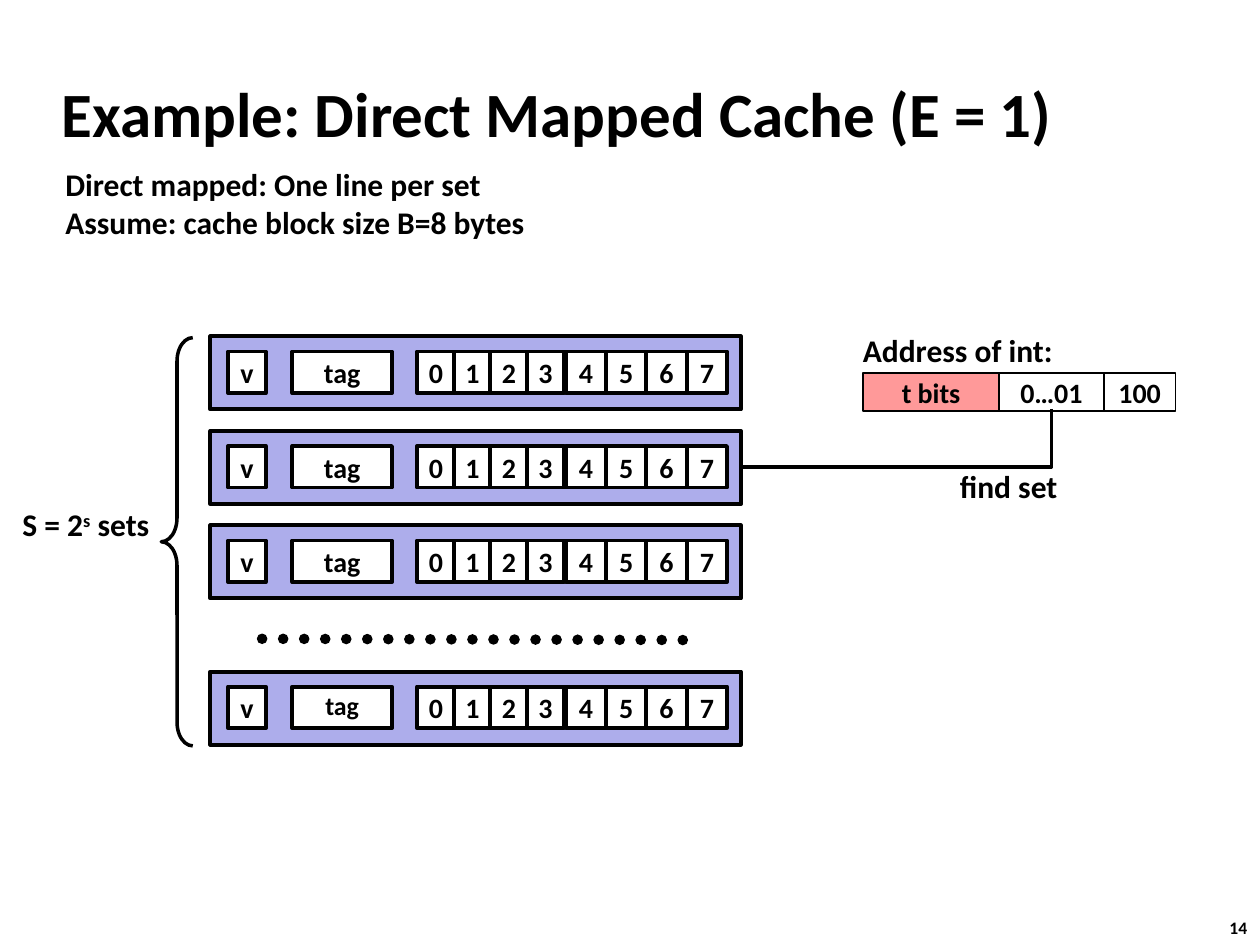
from dataclasses import dataclass

from pptx import Presentation
from pptx.dml.color import RGBColor
from pptx.enum.dml import MSO_LINE
from pptx.enum.shapes import MSO_CONNECTOR, MSO_SHAPE
from pptx.enum.text import MSO_ANCHOR, MSO_AUTO_SIZE, PP_ALIGN
from pptx.oxml.ns import qn
from pptx.util import Inches, Pt

RECTANGLE, LEFT_BRACE = MSO_SHAPE.RECTANGLE, MSO_SHAPE.LEFT_BRACE
STRAIGHT, ELBOW = MSO_CONNECTOR.STRAIGHT, MSO_CONNECTOR.ELBOW
ROUND_DOT = MSO_LINE.ROUND_DOT
MIDDLE, CENTER = MSO_ANCHOR.MIDDLE, PP_ALIGN.CENTER
FIT_SHAPE = MSO_AUTO_SIZE.SHAPE_TO_FIT_TEXT
BOTTOM_SIDE, RIGHT_SIDE = 2, 3


@dataclass(frozen=True)
class Theme:
    font: str = "Calibri"
    ink: RGBColor = RGBColor(0, 0, 0)
    paper: RGBColor = RGBColor(255, 255, 255)
    set_fill: RGBColor = RGBColor(0xAD, 0xAD, 0xEB)
    tag_fill: RGBColor = RGBColor(0xFF, 0x99, 0x99)
    title_size: float = 36
    label_size: float = 18
    cell_size: float = 16
    small_tag_size: float = 14.8
    page_size: float = 10
    address_line: float = 1
    set_line: float = 2.25
    link_line: float = 2
    dots_line: float = 6


THEME = Theme()


def style_text(frame, size):
    for paragraph in frame.paragraphs:
        for run in paragraph.runs:
            run.font.name = THEME.font
            run.font.size = Pt(size)
            run.font.bold = True
            run.font.color.rgb = THEME.ink


def style_line(line, width):
    line.color.rgb = THEME.ink
    line.width = Pt(width)


def add_label(slide, box, text, size=THEME.label_size):
    label = slide.shapes.add_textbox(*map(Inches, box))
    frame = label.text_frame
    frame.text = text
    frame.word_wrap = False
    frame.auto_size = FIT_SHAPE
    style_text(frame, size)
    return label


def add_title(slide, text):
    title = slide.shapes.add_textbox(Inches(0.39), Inches(0.48), Inches(8.3), Inches(0.83))
    frame = title.text_frame
    frame.text = text
    frame.word_wrap = True
    frame.vertical_anchor = MIDDLE
    style_text(frame, THEME.title_size)


def add_cell(slide, box, fill, text="", line=THEME.set_line, size=THEME.cell_size, wrap=False):
    cell = slide.shapes.add_shape(RECTANGLE, *map(Inches, box))
    cell.shadow.inherit = False
    cell.fill.solid()
    cell.fill.fore_color.rgb = fill
    style_line(cell.line, line)
    if text:
        frame = cell.text_frame
        frame.text = text
        frame.word_wrap = wrap
        frame.vertical_anchor = MIDDLE
        frame.paragraphs[0].alignment = CENTER
        style_text(frame, size)
    return cell


def add_cache_set(slide, top):
    cache_set = add_cell(slide, (1.67, top, 4.21, 0.58), THEME.set_fill)
    fields = [("v", 1.81, 0.3), ("tag", 2.32, 0.79)]
    fields += [(str(i), 3.31 + 0.29 * i, 0.3) for i in range(4)]
    fields += [(str(4 + i), 4.49 + 0.32 * i, 0.32) for i in range(4)]
    cells = {
        text: add_cell(slide, (left, top + 0.12, width, 0.33), THEME.paper, text)
        for text, left, width in fields
    }
    return cache_set, cells["tag"]


def add_address(slide):
    add_label(slide, (6.75, 2.58, 1.72, 0.4), "Address of int:")
    left = 6.85
    parts = []
    for text, width, fill in (
        ("t bits", 1.08, THEME.tag_fill),
        ("0…01", 0.83, THEME.paper),
        ("100", 0.57, THEME.paper),
    ):
        box = (left, 2.96, width, 0.3)
        parts.append(add_cell(slide, box, fill, text, THEME.address_line, wrap=True))
        left += width
    return parts[1]


def add_connector(slide, kind, start, end, width):
    connector = slide.shapes.add_connector(kind, *map(Inches, start + end))
    style_line(connector.line, width)
    properties = connector.element.spPr
    properties.append(properties.makeelement(qn("a:effectLst"), {}))
    return connector


def add_set_link(slide, set_index, cache_set):
    link = add_connector(slide, ELBOW, (8.35, 3.25), (5.88, 3.71), THEME.link_line)
    link.begin_connect(set_index, BOTTOM_SIDE)
    link.end_connect(cache_set, RIGHT_SIDE)
    properties = link.element.spPr
    properties.find(qn("a:prstGeom")).set("prst", "bentConnector2")
    placement = properties.find(qn("a:xfrm"))
    placement.attrib.pop("flipH", None)
    placement.set("rot", str(90 * 60000))
    link.left, link.top = Inches(6.88), Inches(2.24)
    link.width, link.height = Inches(0.46), Inches(2.47)


def add_omitted_sets(slide):
    dots = add_connector(slide, STRAIGHT, (2.08, 5.07), (5.5, 5.08), THEME.dots_line)
    dots.line.dash_style = ROUND_DOT
    dots.element.spPr.find(qn("a:ln")).set("cap", "rnd")


def add_set_count(slide):
    brace = slide.shapes.add_shape(
        LEFT_BRACE, Inches(1.28), Inches(2.68), Inches(0.25), Inches(3.24)
    )
    brace.shadow.inherit = False
    brace.fill.background()
    brace.adjustments[0] = 0.75
    style_line(brace.line, THEME.link_line)
    count = add_label(slide, (0.08, 3.96, 1.23, 0.4), "S = 2")
    paragraph = count.text_frame.paragraphs[0]
    exponent, unit = paragraph.add_run(), paragraph.add_run()
    exponent.text, unit.text = "s", " sets"
    style_text(count.text_frame, THEME.label_size)
    exponent.font._element.set("baseline", "30000")


def main():
    deck = Presentation()
    deck.slide_width, deck.slide_height = Inches(10), Inches(7.5)
    slide = deck.slides.add_slide(deck.slide_layouts[6])

    add_label(slide, (9.66, 7.23, 0.37, 0.27), "14", THEME.page_size)
    add_title(slide, "Example: Direct Mapped Cache (E = 1)")
    add_label(
        slide,
        (0.42, 1.26, 3.88, 0.71),
        "Direct mapped: One line per set\nAssume: cache block size B=8 bytes",
    )
    add_set_count(slide)
    add_omitted_sets(slide)
    set_index = add_address(slide)

    rows = [add_cache_set(slide, top) for top in (2.67, 3.42, 4.17, 5.33)]
    selected_set = rows[1][0]
    last_tag = rows[-1][1].text_frame
    last_tag.paragraphs[0].line_spacing = 0.9
    style_text(last_tag, THEME.small_tag_size)

    add_set_link(slide, set_index, selected_set)
    add_label(slide, (7.52, 3.66, 0.98, 0.4), "find set")
    deck.save("out.pptx")


if __name__ == "__main__":
    main()
